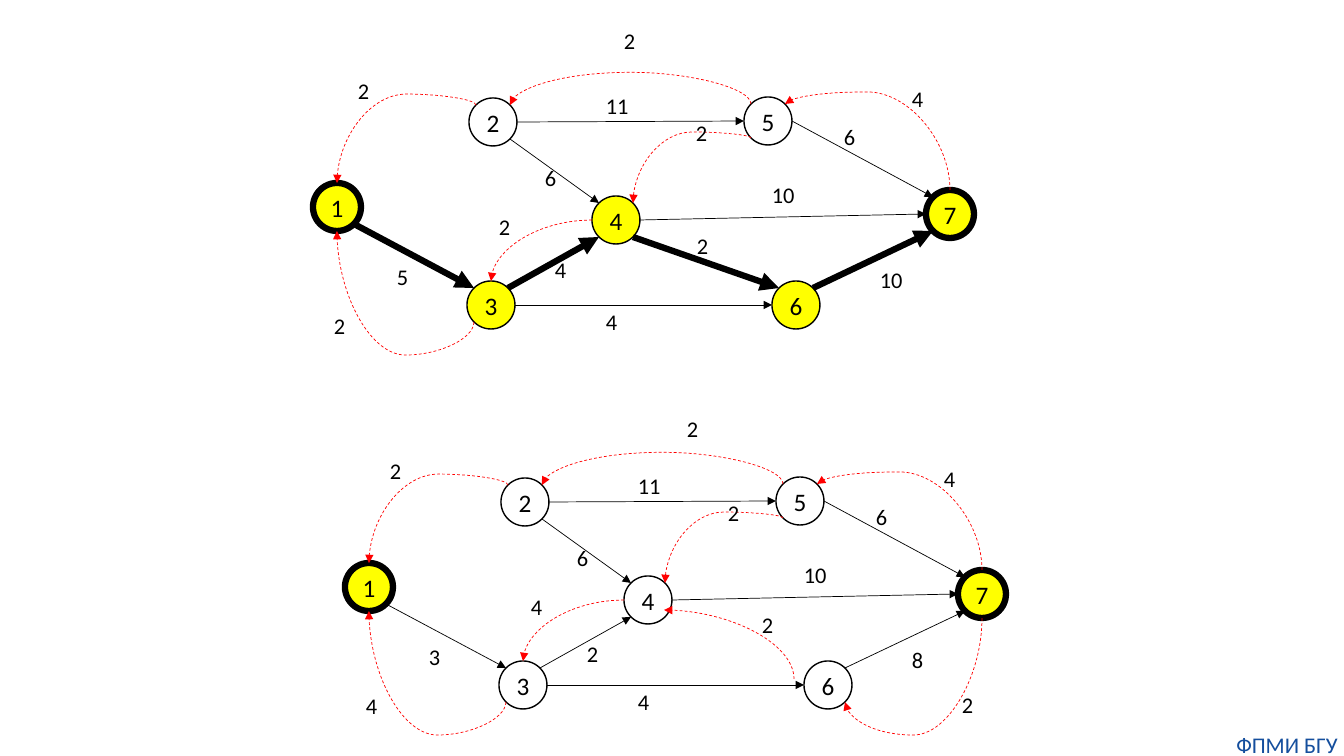
from lxml import etree
from pptx import Presentation
from pptx import util as u
from pptx.dml.color import RGBColor
from pptx.enum import dml, shapes, text
from pptx.oxml.ns import qn

PX = 914400 / 100.8
FONT = "Calibri"
NODE = 48
LABEL_HEIGHT = 37
BLACK, YELLOW, RED, BLUE = "000000", "FFFF00", "FF0000", "144E9D"
THICK, OUTLINE, THIN = 4.5, 1, 0.5

# Offsets from a node's centre to its connection points
PORTS = {"N": (0, -24), "NE": (17, -17), "E": (24, 0), "SE": (17, 17),
         "S": (0, 24), "SW": (-17, 17), "W": (-24, 0), "NW": (-17, -17)}

# Node centres within a graph's box
CENTRES = {"1": (25, 185), "2": (181, 100), "3": (179, 283), "4": (304, 198),
           "5": (456, 99), "6": (484, 283), "7": (638, 192)}

# Straight edges: start port, end port, label position
FORWARD = {
    "13": ("SE", "NW", (75, 236)),
    "25": ("E", "W", (284, 65)),
    "24": ("SE", "NW", (223, 137)),
    "34": ("NE", "SW", (233, 229)),
    "36": ("E", "W", (284, 281)),
    "46": ("SE", "NW", (375, 205)),
    "47": ("E", "W", (450, 154)),
    "57": ("E", "NW", (522, 96)),
    "67": ("NE", "SW", (558, 239)),
}

# Curved edges: start and end (port or offset), height of the bend, label position
BACKWARD = {
    "21": ("NW", "N", 72, (36, 50)),
    "31": ("SW", "S", 333, (12, 285)),
    "43": ("W", "N", None, (177, 186)),
    "52": ("NW", "NE", 50, (302, 0)),
    "54": ("SW", "NE", 110, (374, 92)),
    "64": ((-34, -6), (16, 10), None, (408, 204)),
    "75": ("N", "NE", 70, (590, 58)),
    "76": ("S", "SE", 333, (608, 284)),
}


def px(n):
    return u.Emu(round(n * PX))


def rgb(colour):
    return RGBColor.from_string(colour)


def write(tf, content, size=16, colour=BLACK, align=text.PP_ALIGN.LEFT,
          anchor=text.MSO_ANCHOR.TOP, inset=None):
    tf.word_wrap = False
    tf.vertical_anchor = anchor
    if inset is not None:
        tf.margin_left = tf.margin_right = px(inset)
        tf.margin_top = tf.margin_bottom = px(inset)
    p = tf.paragraphs[0]
    p.alignment = align
    r = p.add_run()
    r.text = content
    r.font.name, r.font.size = FONT, u.Pt(size)
    r.font.color.rgb = rgb(colour)


def add_text(s, x, y, w, h, content, **fmt):
    write(s.shapes.add_textbox(px(x), px(y), px(w), px(h)).text_frame, content, **fmt)


def add_node(s, x, y, name, fill, width):
    sp = s.shapes.add_shape(shapes.MSO_SHAPE.OVAL, px(x - NODE / 2), px(y - NODE / 2),
                            px(NODE), px(NODE))
    sp.shadow.inherit = False
    if fill:
        sp.fill.solid()
        sp.fill.fore_color.rgb = rgb(fill)
    else:
        sp.fill.background()
    sp.line.color.rgb = rgb(BLACK)
    sp.line.width = u.Pt(width)
    write(sp.text_frame, name, size=18, align=text.PP_ALIGN.CENTER,
          anchor=text.MSO_ANCHOR.MIDDLE, inset=0)


def add_arrow(s, kind, x1, y1, x2, y2, colour=BLACK, width=THIN):
    c = s.shapes.add_connector(kind, px(x1), px(y1), px(x2), px(y2))
    c.line.color.rgb = rgb(colour)
    c.line.width = u.Pt(width)
    etree.SubElement(c.line._get_or_add_ln(), qn("a:tailEnd"), type="triangle")
    etree.SubElement(c._element.spPr, qn("a:effectLst"))
    return c


def add_curve(s, start, end, turn, bend):
    """Draw a curve that leaves start in the direction given by turn, in degrees."""
    (x1, y1), (x2, y2) = start, end
    dx, dy = x2 - x1, y2 - y1
    along, across = {90: (dy, -dx), 180: (-dx, -dy), 270: (-dy, dx)}[turn]
    w, h = abs(along), abs(across)
    left, top = (x1 + x2 - w) / 2, (y1 + y2 - h) / 2
    c = add_arrow(s, shapes.MSO_CONNECTOR.CURVE, left, top, left + w, top + h, RED)
    c.line.dash_style = dml.MSO_LINE.DASH
    xfrm = c._element.spPr.find(qn("a:xfrm"))
    xfrm.set("rot", str(turn * 60000))
    if along < 0:
        xfrm.set("flipH", "1")
    if across < 0:
        xfrm.set("flipV", "1")
    geom = c._element.spPr.find(qn("a:prstGeom"))
    if bend is None:
        geom.set("prst", "curvedConnector2")
    else:
        share = round((bend - y1) / dy * 100000)
        etree.SubElement(geom.find(qn("a:avLst")), qn("a:gd"), name="adj1", fmla=f"val {share}")


def add_graph(s, left, top, path_nodes, weights, moved):
    def point(node, port):
        x, y = CENTRES[node]
        ox, oy = PORTS[port] if isinstance(port, str) else port
        return left + x + ox, top + y + oy

    # Nodes, with the chosen route in yellow
    for name, (x, y) in CENTRES.items():
        is_end = name in (path_nodes[0], path_nodes[-1])
        add_node(s, left + x, top + y, name, YELLOW if name in path_nodes else None,
                 THICK if is_end else OUTLINE)

    # Edges and their weights
    for edge, weight in weights.items():
        a, b = edge
        if edge in FORWARD:
            leave, arrive, place = FORWARD[edge]
            add_arrow(s, shapes.MSO_CONNECTOR.STRAIGHT, *point(a, leave), *point(b, arrive),
                      width=THICK if edge in path_nodes else THIN)
        else:
            leave, arrive, bend, place = BACKWARD[edge]
            turn = {"S": 90, "SW": 90, "W": 180}.get(leave, 270)
            start, end = point(a, leave), point(b, arrive)
            add_curve(s, start, end, turn, bend if bend is None else top + bend)
        x, y = moved.get(edge, place)
        add_text(s, left + x, top + y, 32 if weight < 10 else 43, LABEL_HEIGHT, str(weight))


def add_footer(s, left, top, width, height):
    add_text(s, left, top, width, height, "ФПМИ БГУ", colour=BLUE,
             align=text.PP_ALIGN.CENTER, inset=0)


def main():
    prs = Presentation()
    prs.slide_width, prs.slide_height = px(1344), px(756)
    s = prs.slides.add_slide(prs.slide_layouts[6])
    add_footer(s, 1230, 731, 114, 27)
    add_graph(s, 312, 22, "13467",
              {"13": 5, "25": 11, "24": 6, "34": 4, "36": 4, "46": 2, "47": 10, "57": 6,
               "67": 10, "21": 2, "31": 2, "43": 2, "52": 2, "54": 2, "75": 4}, {})
    add_graph(s, 344, 402, "17",
              {"13": 3, "25": 11, "24": 6, "34": 2, "36": 4, "47": 10, "57": 6, "67": 8,
               "21": 2, "31": 4, "43": 4, "52": 2, "54": 2, "64": 2, "75": 4, "76": 2},
              {"52": (333, 8), "34": (233, 233)})
    prs.save("out.pptx")


if __name__ == "__main__":
    main()
